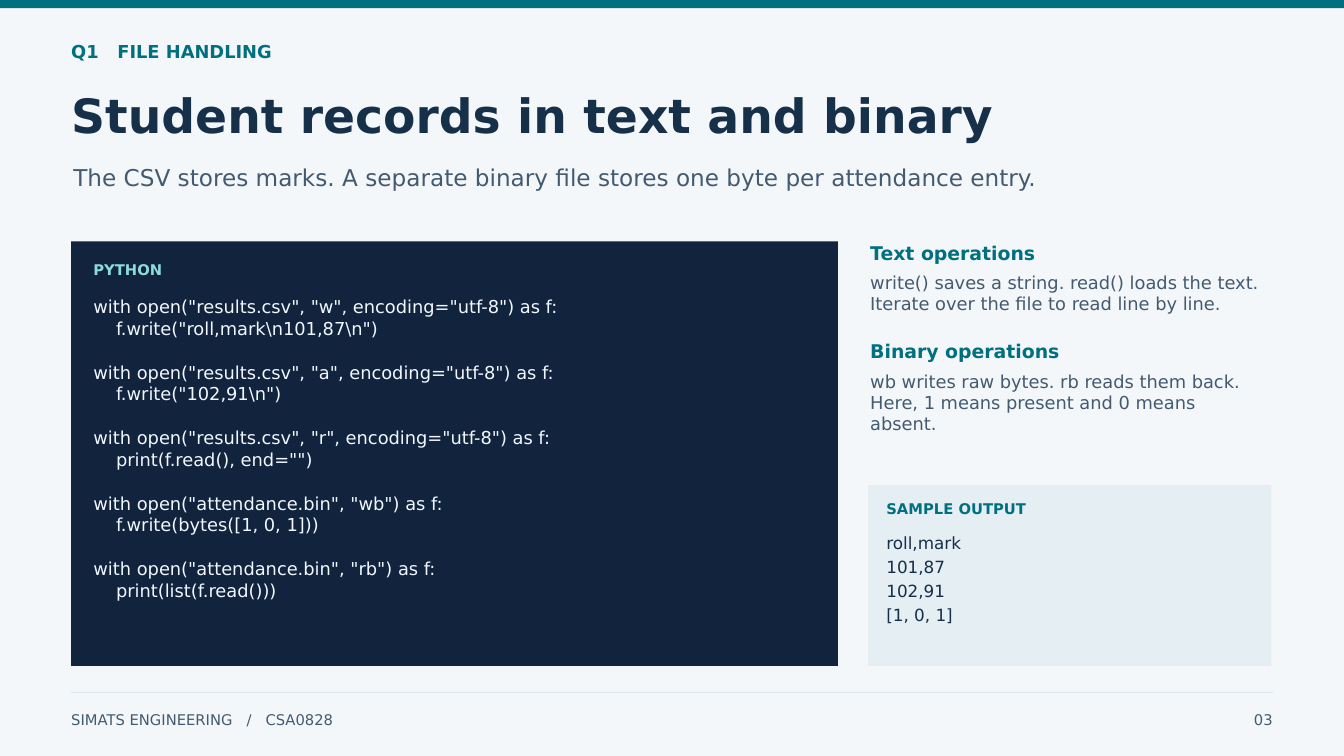
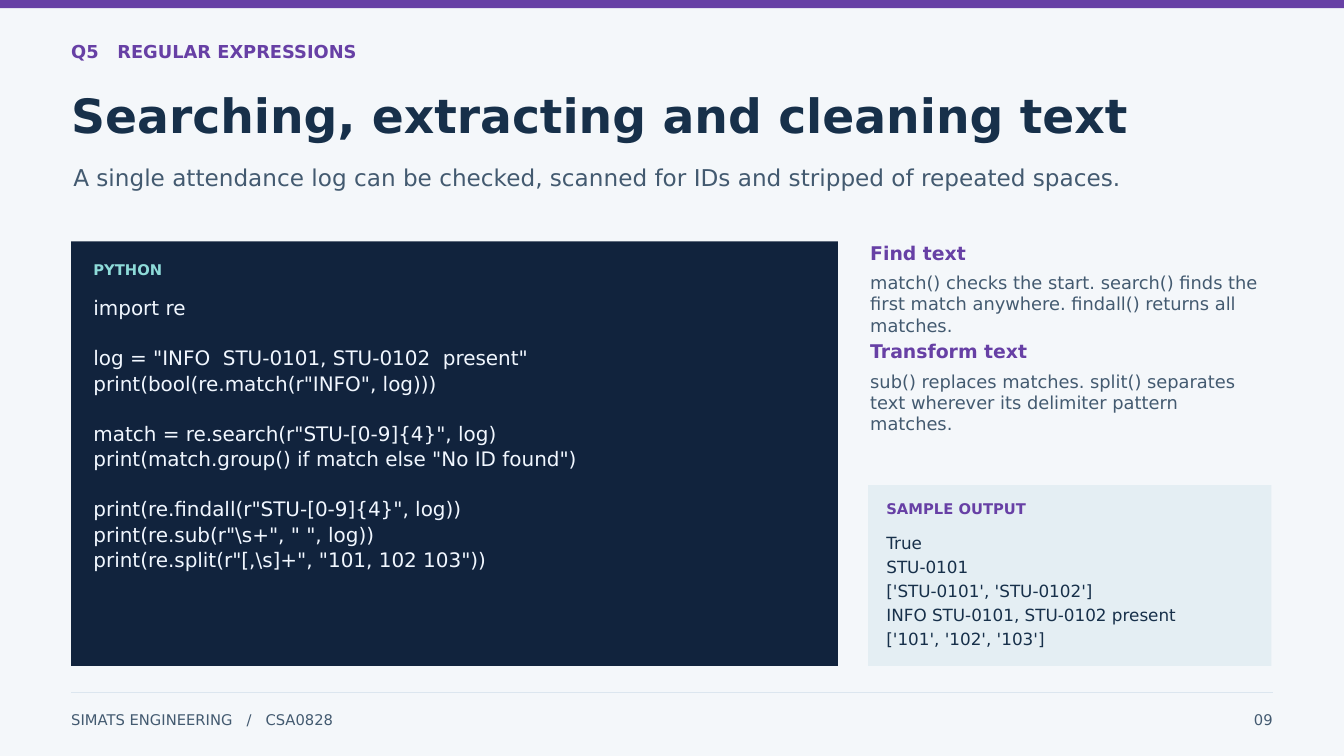
"""Build two code walkthrough slides on file handling and regular expressions."""
from dataclasses import dataclass

from pptx import Presentation
from pptx.dml.color import RGBColor
from pptx.enum.shapes import MSO_CONNECTOR, MSO_SHAPE
from pptx.enum.text import MSO_ANCHOR, MSO_AUTO_SIZE, PP_ALIGN
from pptx.oxml.ns import qn
from pptx.util import Inches, Pt
from lxml import etree

RECTANGLE = MSO_SHAPE.RECTANGLE
STRAIGHT = MSO_CONNECTOR.STRAIGHT
LEFT, RIGHT = PP_ALIGN.LEFT, PP_ALIGN.RIGHT
TOP = MSO_ANCHOR.TOP
NO_AUTOFIT = MSO_AUTO_SIZE.NONE

TITLE_ONLY = 5
WIDTH, HEIGHT = 20, 11.25
MARGIN = 1.06
CONTENT_WIDTH = WIDTH - 2 * MARGIN
PANEL_TOP, PANEL_BOTTOM = 3.59, 9.91
NOTE_LEFT, NOTE_STEP = 12.95, 1.47
OUTPUT_LEFT, OUTPUT_TOP = 12.92, 7.22


@dataclass(frozen=True)
class Theme:
    """Colours, font and type sizes of the deck."""
    font: str = "DejaVu Sans"
    background: str = "F4F7FA"
    ink: str = "17304A"
    muted: str = "435A70"
    rule: str = "DCE6EF"
    code_panel: str = "11233D"
    code_label: str = "8EDBD9"
    code_ink: str = "F1F7FF"
    output_panel: str = "E4EEF3"
    teal: str = "006F80"
    purple: str = "6740A5"
    title: float = 50.6
    subtitle: float = 24.8
    heading: float = 20.2
    body: float = 19.1
    output: float = 18
    label: float = 15.8
    large_code: float = 21.4
    leading: float = 1.2
    code_pitch: float = 1.225
    large_code_pitch: float = 1.26
    output_pitch: float = 1.43


THEME = Theme()

FILE_CODE = r'''with open("results.csv", "w", encoding="utf-8") as f:
    f.write("roll,mark\n101,87\n")

with open("results.csv", "a", encoding="utf-8") as f:
    f.write("102,91\n")

with open("results.csv", "r", encoding="utf-8") as f:
    print(f.read(), end="")

with open("attendance.bin", "wb") as f:
    f.write(bytes([1, 0, 1]))

with open("attendance.bin", "rb") as f:
    print(list(f.read()))'''

REGEX_CODE = r'''import re

log = "INFO  STU-0101, STU-0102  present"
print(bool(re.match(r"INFO", log)))

match = re.search(r"STU-[0-9]{4}", log)
print(match.group() if match else "No ID found")

print(re.findall(r"STU-[0-9]{4}", log))
print(re.sub(r"\s+", " ", log))
print(re.split(r"[,\s]+", "101, 102 103"))'''

FILE_OUTPUT = """roll,mark
101,87
102,91
[1, 0, 1]"""

REGEX_OUTPUT = """True
STU-0101
['STU-0101', 'STU-0102']
INFO STU-0101, STU-0102 present
['101', '102', '103']"""


class Deck:
    """Hold the theme and the current slide, and draw each kind of element."""

    def __init__(self, theme):
        self.theme = theme
        self.presentation = Presentation()
        self.presentation.slide_width = Inches(WIDTH)
        self.presentation.slide_height = Inches(HEIGHT)
        self.slide = None
        self.accent = None

    def start(self, accent, topic, title, subtitle, number):
        """Add a slide with its band, headings and footer."""
        theme = self.theme
        layout = self.presentation.slide_layouts[TITLE_ONLY]
        self.slide = self.presentation.slides.add_slide(layout)
        self.accent = accent
        backdrop = self.slide.background.fill
        backdrop.solid()
        backdrop.fore_color.rgb = RGBColor.from_string(theme.background)
        self.panel(0, 0, WIDTH, 0.12, accent)
        self.text(topic, MARGIN, 0.61, CONTENT_WIDTH, 0.48, theme.body, accent, bold=True)
        heading = self.slide.shapes.title
        heading.left, heading.top = Inches(MARGIN), Inches(1.29)
        heading.width, heading.height = Inches(CONTENT_WIDTH), Inches(1.04)
        self.set_lines(heading.text_frame, title, theme.title, theme.ink, bold=True)
        self.text(subtitle, 1.09, 2.43, 17.81, 0.96, theme.subtitle, theme.muted)
        self.rule(10.31)
        self.text("SIMATS ENGINEERING   /   CSA0828", MARGIN, 10.57, 10.16, 0.39,
                  theme.label, theme.muted)
        self.text(number, 17.5, 10.57, 1.44, 0.39, theme.label, theme.muted, align=RIGHT)

    def panel(self, left, top, width, height, color):
        """Draw a plain filled rectangle."""
        panel = self.slide.shapes.add_shape(
            RECTANGLE, Inches(left), Inches(top), Inches(width), Inches(height))
        panel.shadow.inherit = False
        panel.fill.solid()
        panel.fill.fore_color.rgb = RGBColor.from_string(color)
        panel.line.fill.background()

    def rule(self, top):
        """Draw a thin line between the margins."""
        rule = self.slide.shapes.add_connector(
            STRAIGHT, Inches(MARGIN), Inches(top), Inches(WIDTH - MARGIN), Inches(top))
        rule.line.color.rgb = RGBColor.from_string(self.theme.rule)
        rule.line.width = Pt(1)
        etree.SubElement(rule.element.spPr, qn("a:effectLst"))

    def text(self, content, left, top, width, height, size, color, **options):
        """Add a text box."""
        box = self.slide.shapes.add_textbox(
            Inches(left), Inches(top), Inches(width), Inches(height))
        self.set_lines(box.text_frame, content, size, color, **options)

    def set_lines(self, frame, content, size, color, bold=False, align=LEFT, pitch=None):
        """Set one paragraph a line, with blank lines turned into space before."""
        leading = self.theme.leading
        pitch = pitch or leading
        frame.word_wrap = True
        frame.auto_size = NO_AUTOFIT
        frame.vertical_anchor = TOP
        frame.margin_left = frame.margin_right = 0
        frame.margin_top = frame.margin_bottom = 0
        gap = 0
        paragraph = None
        for line in content.splitlines():
            if not line:
                gap += pitch
                continue
            if paragraph is None:
                paragraph = frame.paragraphs[0]
            else:
                paragraph = frame.add_paragraph()
                gap += pitch - leading
            paragraph.text = line
            paragraph.alignment = align
            paragraph.line_spacing = Pt(size * leading)
            paragraph.space_before = Pt(size * gap)
            gap = 0
            font = paragraph.runs[0].font
            font.name = self.theme.font
            font.size = Pt(size)
            font.bold = bold
            font.color.rgb = RGBColor.from_string(color)

    def code(self, listing, size, pitch):
        """Add the dark panel with its label and listing."""
        theme = self.theme
        self.panel(MARGIN, PANEL_TOP, 11.41, PANEL_BOTTOM - PANEL_TOP, theme.code_panel)
        self.text("PYTHON", 1.39, 3.88, 10.62, 0.39, theme.label, theme.code_label, bold=True)
        self.text(listing, 1.39, 4.4, 10.72, 4.6, size, theme.code_ink, pitch=pitch)

    def notes(self, *entries):
        """Add headed explanations at equal steps beside the code."""
        theme = self.theme
        for index, (heading, explanation) in enumerate(entries):
            top = PANEL_TOP + index * NOTE_STEP
            self.text(heading, NOTE_LEFT, top, 5.84, 0.41, theme.heading, self.accent, bold=True)
            self.text(explanation, NOTE_LEFT, top + 0.45, 5.88, 0.99, theme.body, theme.muted)

    def output(self, result):
        """Add the pale panel with the printed result."""
        theme = self.theme
        self.panel(OUTPUT_LEFT, OUTPUT_TOP, 6, PANEL_BOTTOM - OUTPUT_TOP, theme.output_panel)
        self.text("SAMPLE OUTPUT", 13.19, 7.44, 5.41, 0.4, theme.label, self.accent, bold=True)
        self.text(result, 13.19, 7.93, 5.53, 1.86, theme.output, theme.ink,
                  pitch=theme.output_pitch)


def main():
    """Fill both slides and save the deck."""
    deck = Deck(THEME)

    deck.start(THEME.teal, "Q1   FILE HANDLING", "Student records in text and binary",
               "The CSV stores marks. A separate binary file stores one byte per attendance entry.",
               "03")
    deck.code(FILE_CODE, THEME.body, THEME.code_pitch)
    deck.notes(
        ("Text operations",
         "write() saves a string. read() loads the text. "
         "Iterate over the file to read line by line."),
        ("Binary operations",
         "wb writes raw bytes. rb reads them back. "
         "Here, 1 means present and 0 means absent."))
    deck.output(FILE_OUTPUT)

    deck.start(THEME.purple, "Q5   REGULAR EXPRESSIONS",
               "Searching, extracting and cleaning text",
               "A single attendance log can be checked, scanned for IDs "
               "and stripped of repeated spaces.",
               "09")
    deck.code(REGEX_CODE, THEME.large_code, THEME.large_code_pitch)
    deck.notes(
        ("Find text",
         "match() checks the start. search() finds the first match anywhere. "
         "findall() returns all matches."),
        ("Transform text",
         "sub() replaces matches. split() separates text "
         "wherever its delimiter pattern matches."))
    deck.output(REGEX_OUTPUT)

    deck.presentation.save("out.pptx")


if __name__ == "__main__":
    main()
